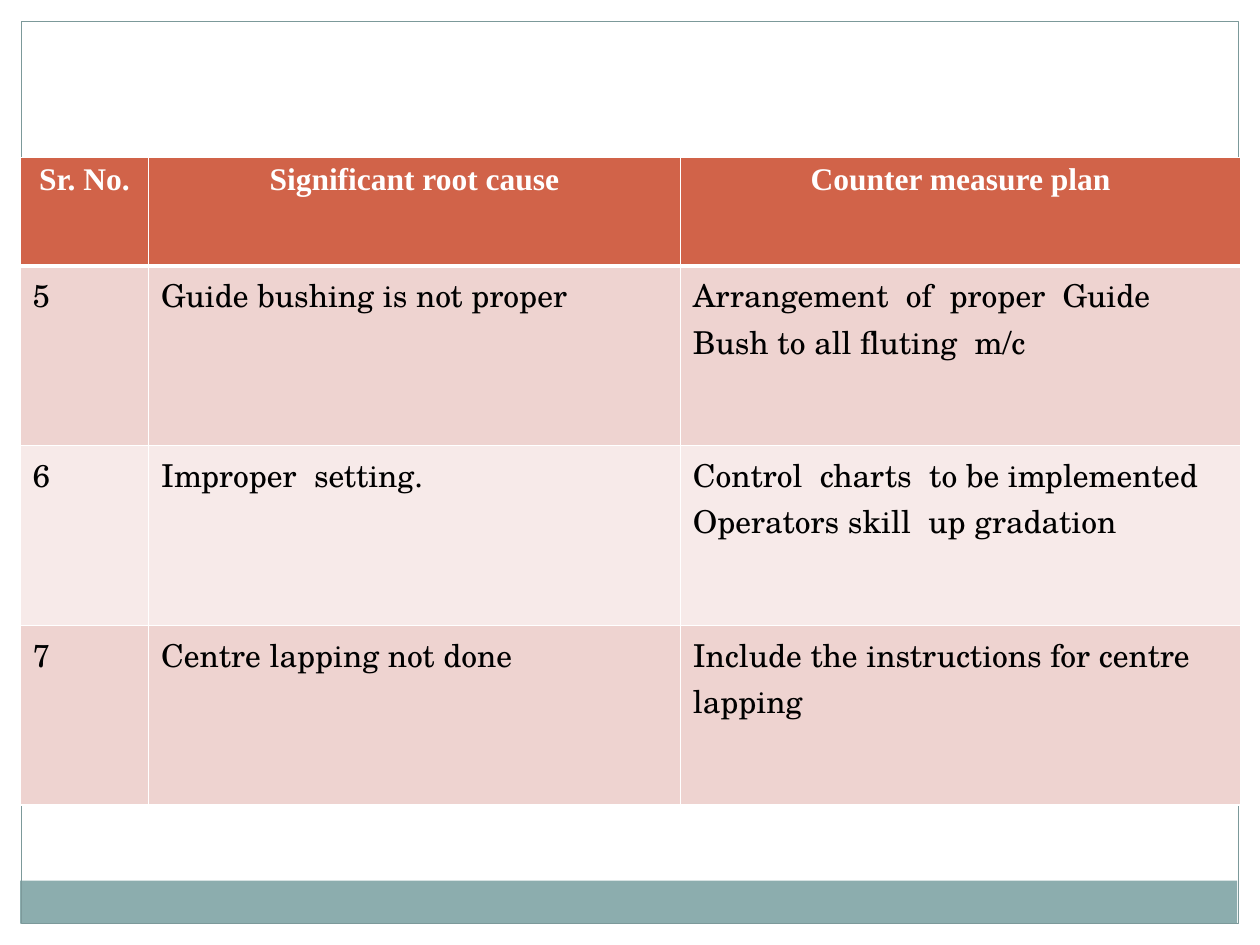
from lxml import etree
from pptx import Presentation
from pptx.dml.color import RGBColor
from pptx.enum.shapes import MSO_SHAPE
from pptx.enum.text import PP_ALIGN
from pptx.oxml.ns import qn
from pptx.util import Inches, Pt

RECT = MSO_SHAPE.RECTANGLE
CENTER = PP_ALIGN.CENTER
BLANK_LAYOUT = 6

SLIDE_W, SLIDE_H, MARGIN = 10, 7.5, 0.17
WHITE, BLACK = "FFFFFF", "000000"
TEAL, FRAME_LINE = "8CADAE", "7C999A"
HEADER_FILL = "D16349"
BAND_FILLS = ["EED3D0", "F7EAE9"]

HEADER_FONT = {"name": "Times New Roman", "size": Pt(18), "bold": True}
BODY_FONT = {"name": "TeX Gyre Schola", "size": Pt(18), "bold": False}
HEADER_MARGINS = {"margin_left": Inches(0.07), "margin_right": Inches(0.07),
                  "margin_top": 0, "margin_bottom": 0}

COL_WIDTHS = [1.02, 4.22, 4.45]
HEADER_HEIGHT = 0.86
ROWS = [
    ["Sr. No.", "Significant root cause", "Counter measure plan"],
    ["5", "Guide bushing is not proper",
     "Arrangement  of  proper  Guide  Bush to all fluting  m/c"],
    ["6", "Improper  setting.",
     "Control  charts  to be implemented\nOperators skill  up gradation"],
    ["7", "Centre lapping not done", "Include the instructions for centre lapping"],
]


def rgb(value):
    return RGBColor.from_string(value)


def set_format(target, values):
    for name, value in values.items():
        setattr(target, name, value)


def add_rect(slide, box, fill=None, line=None):
    sp = slide.shapes.add_shape(RECT, *map(Inches, box))
    sp.shadow.inherit = False
    if fill:
        sp.fill.solid()
        sp.fill.fore_color.rgb = rgb(fill)
    else:
        sp.fill.background()
    if line:
        sp.line.color.rgb = rgb(line)
        sp.line.width = Pt(0.75)
    else:
        sp.line.fill.background()


def add_frame(slide, box):
    left, top, width, height = box
    # White margins: top, right, left
    for strip in [(left, top, width, MARGIN),
                  (left + width - MARGIN, top, MARGIN, height),
                  (left, top, MARGIN, height)]:
        add_rect(slide, strip, fill=WHITE)
    # Bottom band and outline
    inner_w, inner_h = width - 2 * MARGIN, height - 2 * MARGIN
    band = 2 * MARGIN
    add_rect(slide, (left + MARGIN - 0.01, top + height - MARGIN - band, inner_w, band),
             fill=TEAL)
    add_rect(slide, (left + MARGIN, top + MARGIN, inner_w, inner_h), line=FRAME_LINE)


def set_borders(cell, bottom):
    tcPr = cell._tc.get_or_add_tcPr()
    for side, width in {"L": 1, "R": 1, "T": 1, "B": bottom}.items():
        ln = etree.SubElement(tcPr, qn(f"a:ln{side}"), w=str(Pt(width)))
        fill = etree.SubElement(ln, qn("a:solidFill"))
        etree.SubElement(fill, qn("a:srgbClr"), val=WHITE)


def fill_cell(cell, text, is_header, fill):
    set_borders(cell, 3 if is_header else 1)
    cell.fill.solid()
    cell.fill.fore_color.rgb = rgb(fill)
    if is_header:
        set_format(cell, HEADER_MARGINS)
    cell.text = text
    for p in cell.text_frame.paragraphs:
        if is_header:
            set_format(p, {"alignment": CENTER, "line_spacing": 1.15})
        for r in p.runs:
            set_format(r.font, HEADER_FONT if is_header else BODY_FONT)
            r.font.color.rgb = rgb(WHITE if is_header else BLACK)


def add_plan_table(slide, box):
    table = slide.shapes.add_table(len(ROWS), len(COL_WIDTHS), *map(Inches, box)).table
    for column, width in zip(table.columns, COL_WIDTHS):
        column.width = Inches(width)
    body_height = (box[3] - HEADER_HEIGHT) / (len(ROWS) - 1)
    for i, texts in enumerate(ROWS):
        is_header = i == 0
        table.rows[i].height = Inches(HEADER_HEIGHT if is_header else body_height)
        fill = HEADER_FILL if is_header else BAND_FILLS[(i - 1) % 2]
        for j, text in enumerate(texts):
            fill_cell(table.cell(i, j), text, is_header, fill)


def main():
    prs = Presentation()
    prs.slide_width, prs.slide_height = Inches(SLIDE_W), Inches(SLIDE_H)
    slide = prs.slides.add_slide(prs.slide_layouts[BLANK_LAYOUT])
    # Page frame with margins and bottom band
    add_frame(slide, (0, 0, SLIDE_W, SLIDE_H))
    # Root causes and counter measures
    add_plan_table(slide, (0.16, 1.25, sum(COL_WIDTHS), 5.14))
    prs.save("out.pptx")


if __name__ == "__main__":
    main()
